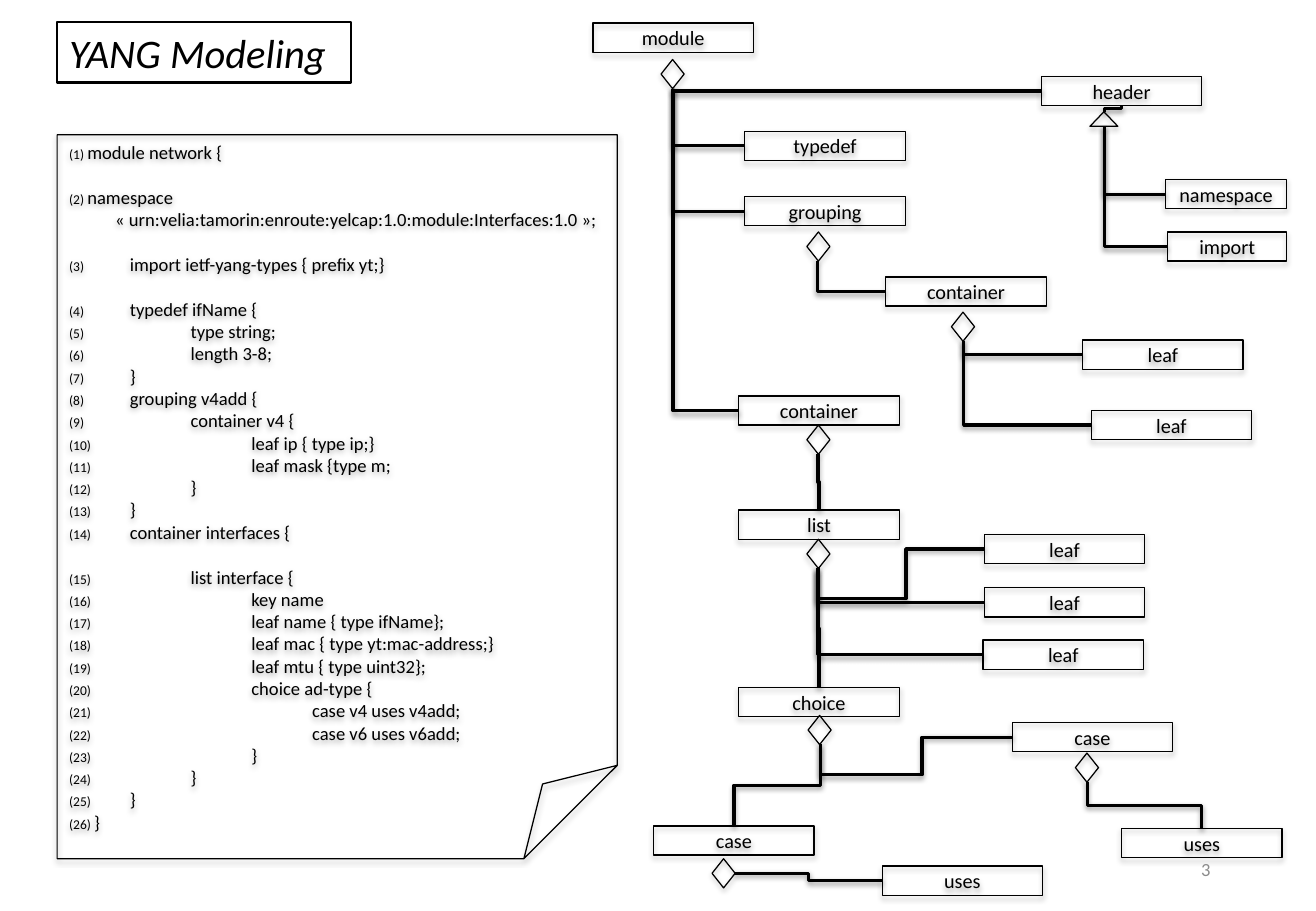
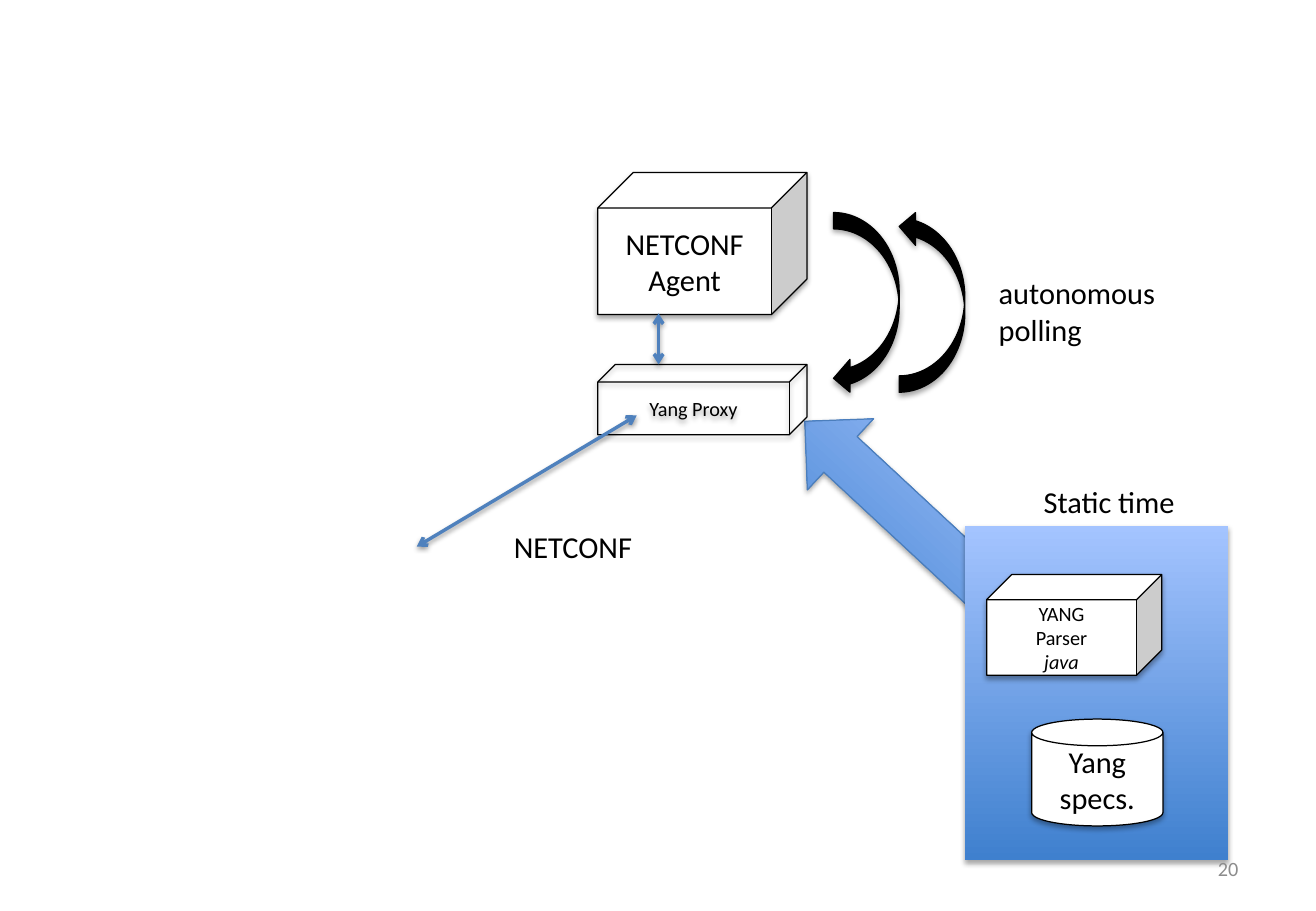
from lxml import etree
from pptx import Presentation, util as u
from pptx.dml.color import RGBColor
from pptx.enum import shapes, text
from pptx.oxml.ns import qn

# Shared style; positions are columns and rows of a one-inch grid
COLUMNS, ROWS = 10.83, 7.5
FONT = "Calibri"
COLORS = {"ink": "000000", "paper": "FFFFFF", "muted": "8C8C8C", "link": "4F81BD",
          "edge": "4B7EBC", "deep": "3F80CE", "light": "A4C4FF"}
SHAPE, ALIGN, ANCHOR = shapes.MSO_SHAPE, text.PP_ALIGN, text.MSO_ANCHOR
NODE_W, NODE_H, DIAMOND_W = 1.32, 0.24, 0.19


def rgb(name):
    return RGBColor.from_string(COLORS[name])


def place(box, left, top, width, height):
    """Lengths of a part whose position is counted from its region's corner."""
    return [u.Inches(v) for v in (box[0] + left, box[1] + top, width, height)]


def add_shadow(shape, alpha, distance):
    props = shape._element.spPr
    effects = props.find(qn("a:effectLst"))
    if effects is None:
        effects = etree.SubElement(props, qn("a:effectLst"))
    outer = etree.SubElement(effects, qn("a:outerShdw"), blurRad="40000",
                             dist=str(distance), dir="5400000", rotWithShape="0")
    color = etree.SubElement(outer, qn("a:srgbClr"), val=COLORS["ink"])
    etree.SubElement(color, qn("a:alpha"), val=str(alpha * 1000))


def style(span, size, color="ink", italic=False):
    span.font.name, span.font.size = FONT, u.Pt(size)
    span.font.color.rgb, span.font.italic = rgb(color), italic


def write(shape, words, size, align=ALIGN.CENTER, anchor=ANCHOR.MIDDLE,
          wrap=True, color="ink", italic=()):
    frame = shape.text_frame
    frame.word_wrap, frame.vertical_anchor = wrap, anchor
    frame.text = words
    for para in frame.paragraphs:
        para.alignment = align
        for span in para.runs:
            style(span, size, color, span.text in italic)


def draw(page, kind, at, fill=None, line="ink", weight=0.75, shadow=True):
    shape = page.shapes.add_shape(kind, *at)
    shape.shadow.inherit = False
    if fill == "gradient":
        shape.fill.gradient()
        shape.fill.gradient_angle = 90
        for stop, name in zip(shape.fill.gradient_stops, ("deep", "light")):
            stop.color.rgb = rgb(name)
    elif fill:
        shape.fill.solid()
        shape.fill.fore_color.rgb = rgb(fill)
    else:
        shape.fill.background()
    if line:
        shape.line.color.rgb, shape.line.width = rgb(line), u.Pt(weight)
    else:
        shape.line.fill.background()
    if shadow:
        add_shadow(shape, 35, 23000)
    return shape


def label(page, at, words, size, **options):
    box = page.shapes.add_textbox(*at)
    write(box, words, size, **options)


def connect(page, kind, start, end, color="ink"):
    line = page.shapes.add_connector(kind, *[u.Inches(v) for v in (*start, *end)])
    line.line.color.rgb, line.line.width = rgb(color), u.Pt(2)
    add_shadow(line, 38, 20000)
    return line


def drop_link(page, start, end, preset):
    """Elbow that leaves its start downwards: a turned and mirrored preset."""
    (x1, y1), (x2, y2) = start, end
    width, height = abs(x2 - x1), abs(y2 - y1)
    left, top = (x1 + x2 - height) / 2, (y1 + y2 - width) / 2
    line = connect(page, shapes.MSO_CONNECTOR.ELBOW, (left, top),
                   (left + height, top + width))
    xfrm = line._element.spPr.find(qn("a:xfrm"))
    rising, leftward = y2 < y1, x2 < x1
    xfrm.set("rot", "5400000" if rising or leftward else "16200000")
    if not leftward:
        xfrm.set("flipH", "1")
    if rising:
        xfrm.set("flipV", "1")
    geometry = line._element.spPr.find(qn("a:prstGeom"))
    geometry.set("prst", preset)
    if rising:  # go a quarter row down before turning up
        guides = geometry.find(qn("a:avLst"))
        for name, share in (("adj1", -0.25 / height), ("adj2", 0.53)):
            etree.SubElement(guides, qn("a:gd"), name=name,
                             fmla=f"val {round(share * 100000)}")


def page_number(page, box, number, size):
    label(page, place(box, 0, 0, *box[2:]), number, size, align=ALIGN.RIGHT, color="muted")


def title(page, box, words):
    frame = draw(page, SHAPE.RECTANGLE, place(box, 0, 0, *box[2:]), weight=1.5, shadow=False)
    write(frame, words, 24, align=ALIGN.LEFT, anchor=ANCHOR.TOP, wrap=False, italic=(words,))


# Depth and text of each numbered line; None marks a continuation
CODE = [
    (0, "module network {"), (0, "namespace "),
    (None, "«\u00a0urn:velia:tamorin:enroute:yelcap:1.0:module:Interfaces:1.0\u00a0»;"),
    (1, "import ietf-yang-types { prefix yt;}"), (1, "typedef ifName { "),
    (2, "type string;"), (2, "length 3-8;"), (1, "}"), (1, "grouping v4add {"),
    (2, "container v4 {"), (3, "leaf ip { type ip;}"), (3, "leaf mask {type m;"),
    (2, "}"), (1, "}"), (1, "container interfaces {"), (2, "list interface {"),
    (3, "key name"), (3, "leaf name { type ifName};"),
    (3, "leaf mac { type yt:mac-address;}"), (3, "leaf mtu { type uint32};"),
    (3, "choice ad-type {"), (4, "case v4 uses v4add;"), (4, "case v6 uses v6add;"),
    (3, "}"), (2, "}"), (1, "}"), (0, "}")]
SPACED_LINES = (2, 3, 4, 15)


def code_panel(page, box):
    panel = draw(page, SHAPE.FOLDED_CORNER, place(box, 0, 0, *box[2:]))
    frame = panel.text_frame
    frame.word_wrap, frame.vertical_anchor = True, ANCHOR.TOP
    frame.margin_right = 0
    number = 0
    for depth, words in CODE:
        para = frame.add_paragraph() if number else frame.paragraphs[0]
        para.alignment = ALIGN.LEFT
        if depth is None:
            para._p.get_or_add_pPr().set("marL", str(u.Inches(0.38)))
            parts = [(words, 11)]
        else:
            number += 1
            parts = [(f"({number}) ", 8), ("\t" * depth + words, 11)]
            if number in SPACED_LINES:
                para.space_before = u.Pt(13.4)
        for words, size in parts:
            span = para.add_run()
            span.text = words
            style(span, size)


# Statement boxes: left, top and, where narrower, width
NODES = {
    "module": (0, 0), "header": (3.69, 0.44), "namespace": (4.71, 1.29, 1),
    "import": (4.73, 1.72, 0.98), "typedef": (1.25, 0.89), "grouping": (1.25, 1.43),
    "container 1": (2.41, 2.09), "leaf 1": (4.03, 2.61), "leaf 2": (4.1, 3.19),
    "container 2": (1.2, 3.07), "list": (1.2, 4.01), "leaf 3": (3.22, 4.21),
    "leaf 4": (3.22, 4.65), "leaf 5": (3.21, 5.08), "choice": (1.2, 5.47),
    "case 1": (3.45, 5.76), "case 2": (0.5, 6.61), "uses 1": (4.35, 6.63),
    "uses 2": (2.38, 6.94)}
# Diamond corner, children joined at the side, children joined at the top
BRANCHES = [
    ((0.56, 0.3), ("header", "typedef", "grouping", "container 2"), ()),
    ((1.76, 1.72), ("container 1",), ()),
    ((2.95, 2.38), ("leaf 1", "leaf 2"), ()),
    ((1.76, 3.31), (), ("list",)),
    ((1.76, 4.25), ("leaf 3", "leaf 4", "leaf 5"), ("choice",)),
    ((1.77, 5.7), ("case 1",), ("case 2",)),
    ((3.97, 6.01), (), ("uses 1",))]


def module_tree(page, box):
    def point(left, top):
        return round(box[0] + left, 2), round(box[1] + top, 2)

    def side(name):
        return point(NODES[name][0], NODES[name][1] + NODE_H / 2)

    def crown(name):
        return point(NODES[name][0] + NODE_W / 2, NODES[name][1])

    def diamond(left, top):
        draw(page, SHAPE.DIAMOND, place(box, left, top, DIAMOND_W, NODE_H))

    # Statements
    for name, (left, top, *width) in NODES.items():
        node = draw(page, SHAPE.RECTANGLE,
                    place(box, left, top, width[0] if width else NODE_W, NODE_H))
        write(node, name.split()[0], 12)
    # Compositions
    for (left, top), sides, crowns in BRANCHES:
        diamond(left, top)
        start = point(left + DIAMOND_W / 2, top + NODE_H)
        for name in sides:
            end = side(name)
            drop_link(page, start, end,
                      "bentConnector4" if end[1] < start[1] else "bentConnector2")
        for name in crowns:
            drop_link(page, start, crown(name), "bentConnector3")
    # Last case, joined sideways
    left, top = 0.98, 6.88
    diamond(left, top)
    connect(page, shapes.MSO_CONNECTOR.ELBOW,
            point(left + DIAMOND_W, top + NODE_H / 2), side("uses 2"))
    # Header parts
    left, top, width, height = 4.09, 0.73, 0.23, 0.12
    draw(page, SHAPE.ISOSCELES_TRIANGLE, place(box, left, top, width, height))
    head_x, head_y = crown("header")
    drop_link(page, (head_x, head_y + NODE_H), point(left + width / 2, top), "bentConnector3")
    for name in ("namespace", "import"):
        drop_link(page, point(left + width / 2, top + height), side(name), "bentConnector2")


def static_time(page, box):
    arrow = draw(page, SHAPE.LEFT_ARROW, place(box, -1.6, -0.54, 2.12, 0.8), "gradient", "edge")
    arrow.rotation = 42.9
    draw(page, SHAPE.RECTANGLE, place(box, 0, 0, *box[2:]), "gradient", None)
    parser = draw(page, SHAPE.CUBE, place(box, 0.18, 0.4, 1.44, 0.83), "paper")
    write(parser, "YANG\nParser\njava", 12, italic=("java",))
    store = draw(page, SHAPE.CAN, place(box, 0.55, 1.59, 1.08, 0.88), "paper")
    write(store, "Yang specs.", 18)
    label(page, place(box, 0.55, -0.4, 1.29, 0.4), "Static time", 18,
          align=ALIGN.LEFT, anchor=ANCHOR.TOP, wrap=False)


def agent_and_proxy(page, box):
    left, top, width, height = box
    proxy = draw(page, SHAPE.CUBE, place(box, 0, 1.58, width, 0.58))
    write(proxy, "Yang Proxy", 12)
    agent = draw(page, SHAPE.CUBE, place(box, 0, 0, width, 1.17), "paper")
    write(agent, "NETCONF\nAgent", 18)
    # Polling loop
    draw(page, SHAPE.CURVED_LEFT_ARROW, place(box, 1.94, 0.33, 0.54, 1.5), "ink")
    back = draw(page, SHAPE.CURVED_LEFT_ARROW, place(box, 2.48, 0.31, 0.54, 1.5), "ink")
    back._element.spPr.find(qn("a:xfrm")).set("flipV", "1")
    # Two-way exchanges
    for start, end in (((-1.49, 3.08), (0.32, 2)), ((0.5, 1.16), (0.5, 1.58))):
        line = connect(page, shapes.MSO_CONNECTOR.STRAIGHT, (left + start[0], top + start[1]),
                       (left + end[0], top + end[1]), "link")
        for tip in ("a:headEnd", "a:tailEnd"):
            etree.SubElement(line.line._get_or_add_ln(), qn(tip), type="arrow")
    for at, words in (((-0.79, 2.88, 1.18, 0.4), "NETCONF"),
                      ((3.2, 0.79, 1.51, 0.71), "autonomous\npolling")):
        label(page, place(box, *at), words, 18, align=ALIGN.LEFT, anchor=ANCHOR.TOP, wrap=False)


deck = Presentation()
deck.slide_width, deck.slide_height = u.Inches(COLUMNS), u.Inches(ROWS)
blank = deck.slide_layouts[6]

modeling = deck.slides.add_slide(blank)
code_panel(modeling, (0.47, 1.11, 4.61, 5.96))
module_tree(modeling, (4.88, 0.19, 5.71, 7.18))
page_number(modeling, (8, 6.99, 2.06, 0.33), "3", 11)
title(modeling, (0.47, 0.18, 2.42, 0.5), "YANG Modeling")

architecture = deck.slides.add_slide(blank)
static_time(architecture, (7.94, 4.33, 2.17, 2.75))
agent_and_proxy(architecture, (4.92, 1.42, 1.72, 2.16))
page_number(architecture, (7.76, 6.95, 2.53, 0.4), "20", 12)

deck.save("out.pptx")
